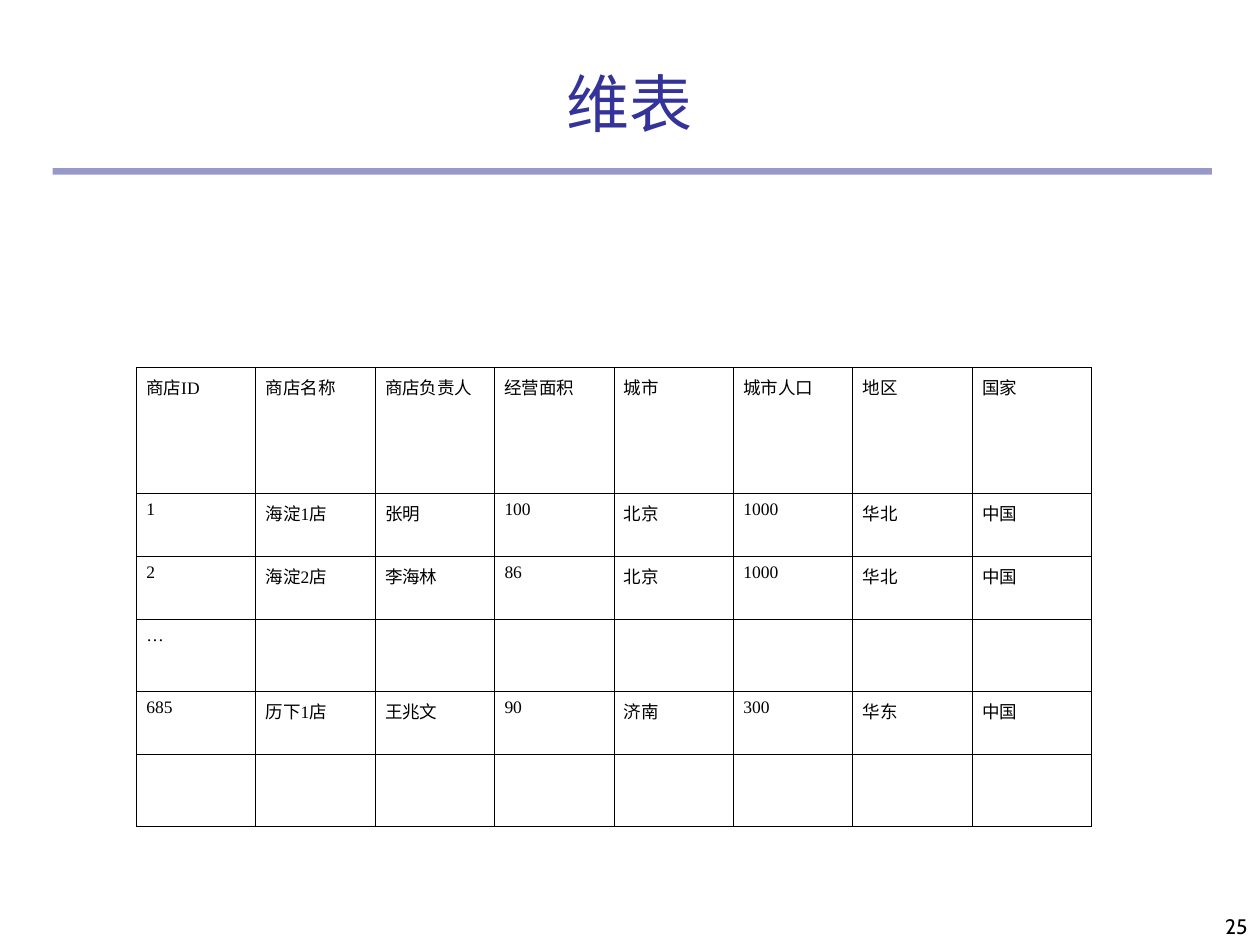
from dataclasses import dataclass

from lxml.etree import SubElement
from pptx import Presentation
from pptx.dml.color import RGBColor
from pptx.enum.shapes import MSO_SHAPE
from pptx.enum.text import MSO_ANCHOR, PP_ALIGN
from pptx.oxml.ns import qn
from pptx.util import Cm, Pt


@dataclass(frozen=True)
class Theme:
    blue: str = "333399"
    black: str = "000000"
    head: str = "Cabin"
    body: str = "Times New Roman"
    title: float = 36
    cell: float = 10
    page: float = 12
    edge: float = 0.45


THEME = Theme()
ROWS = [
    ["商店ID", "商店名称", "商店负责人", "经营面积", "城市", "城市人口", "地区", "国家"],
    ["1", "海淀1店", "张明", "100", "北京", "1000", "华北", "中国"],
    ["2", "海淀2店", "李海林", "86", "北京", "1000", "华北", "中国"],
    ["…"] + [""] * 7,
    ["685", "历下1店", "王兆文", "90", "济南", "300", "华东", "中国"],
    [""] * 8,
]
HEIGHTS = [2.54, 1.27, 1.27, 1.45, 1.27, 1.45]


def style(para, face, size, color, align):
    para.alignment = align
    para.font.name = face
    para.font.size = Pt(size)
    para.font.color.rgb = RGBColor.from_string(color)


def add_text(slide, text, box, size, color, align):
    frame = slide.shapes.add_textbox(*map(Cm, box)).text_frame
    frame.word_wrap = True
    frame.vertical_anchor = MSO_ANCHOR.BOTTOM
    frame.text = text
    style(frame.paragraphs[0], THEME.head, size, color, align)


def add_rule(slide, box):
    rule = slide.shapes.add_shape(MSO_SHAPE.RECTANGLE, *map(Cm, box))
    rule.shadow.inherit = False
    rule.line.fill.background()
    rule.fill.solid()
    rule.fill.fore_color.rgb = RGBColor.from_string(THEME.blue)
    color = rule.fill._xPr.find(f".//{qn('a:srgbClr')}")
    SubElement(color, qn("a:alpha"), val="50000")


def add_edges(cell):
    props = cell._tc.get_or_add_tcPr()
    for place, side in enumerate("LRTB"):
        line = SubElement(props, qn(f"a:ln{side}"), w=str(Pt(THEME.edge)))
        fill = SubElement(line, qn("a:solidFill"))
        SubElement(fill, qn("a:srgbClr"), val=THEME.black)
        props.insert(place, line)


def fill_cell(cell, text):
    cell.fill.background()
    cell.margin_left = cell.margin_right = Cm(0.2)
    cell.margin_top = cell.margin_bottom = Cm(0.13)
    cell.text = text
    style(cell.text_frame.paragraphs[0], THEME.body, THEME.cell,
          THEME.black, PP_ALIGN.JUSTIFY)
    add_edges(cell)


def add_grid(slide, left, top, width):
    count = len(ROWS[0])
    frame = slide.shapes.add_table(len(ROWS), count, Cm(left), Cm(top),
                                   Cm(width), Cm(sum(HEIGHTS)))
    table = frame.table
    table.first_row = table.horz_banding = False
    for col in table.columns:
        col.width = Cm(width / count)
    for row, high, texts in zip(table.rows, HEIGHTS, ROWS):
        row.height = Cm(high)
        for cell, text in zip(row.cells, texts):
            fill_cell(cell, text)


def main():
    deck = Presentation()
    deck.slide_width, deck.slide_height = Cm(25.4), Cm(19.05)
    slide = deck.slides.add_slide(deck.slide_layouts[6])
    add_rule(slide, (1.06, 3.39, 23.37, 0.13))
    add_text(slide, "维表", (1.06, 1.06, 23.28, 1.9),
             THEME.title, THEME.blue, PP_ALIGN.CENTER)
    add_grid(slide, 2.75, 7.41, 19.26)
    add_text(slide, "25", (20.12, 17.78, 5.28, 1.27),
             THEME.page, THEME.black, PP_ALIGN.RIGHT)
    deck.save("out.pptx")


if __name__ == "__main__":
    main()
